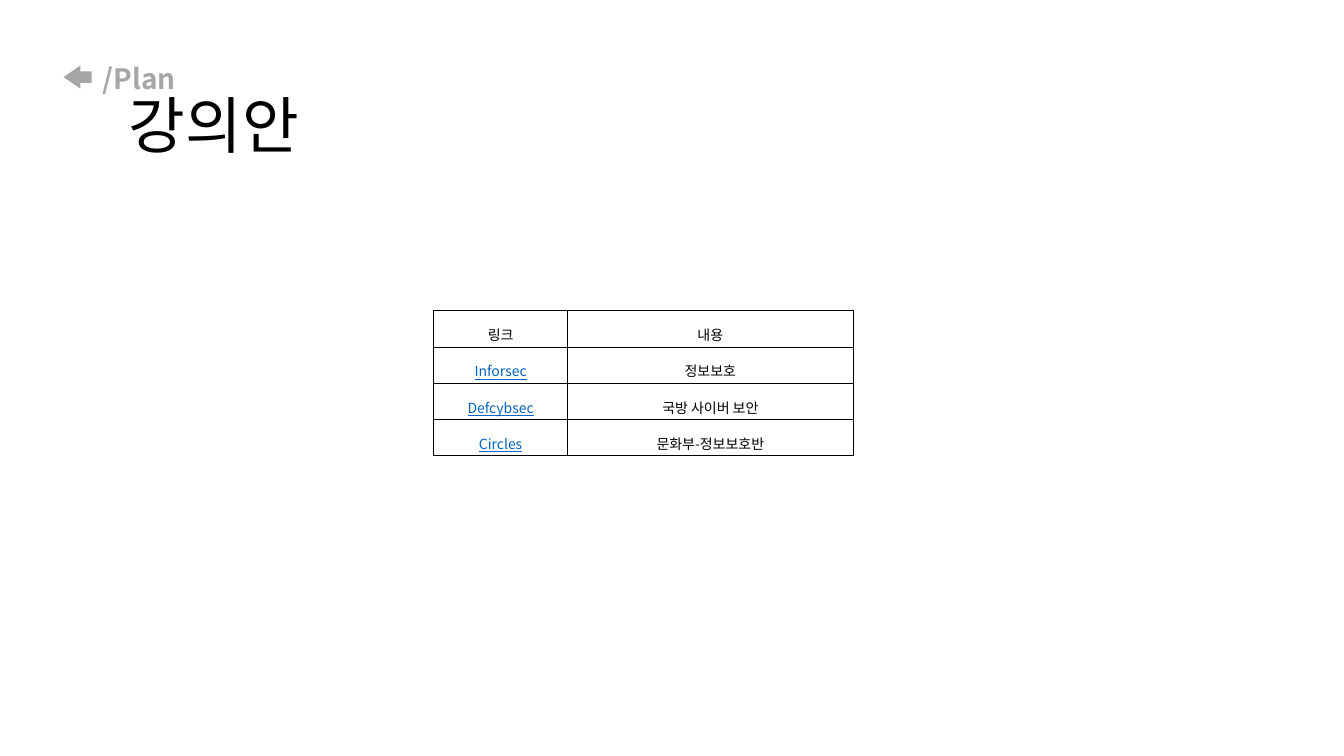
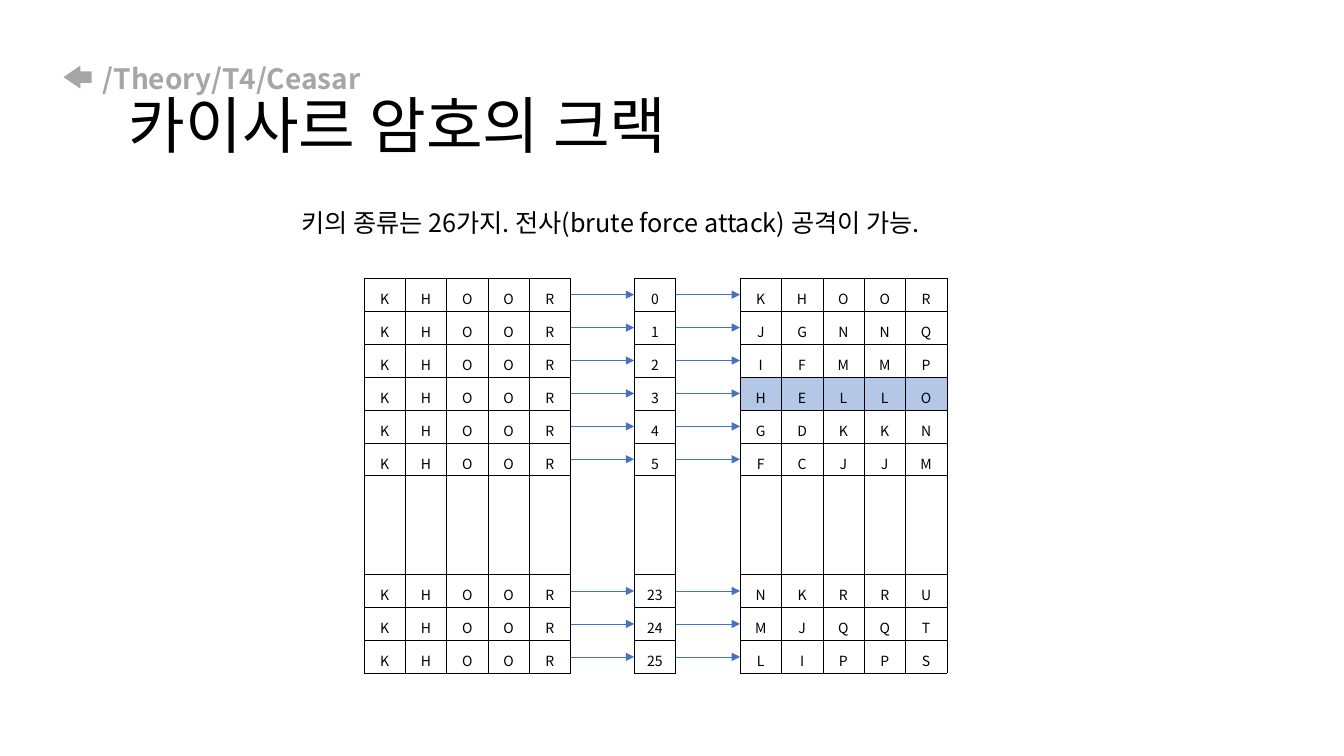
from dataclasses import dataclass

from lxml import etree
from pptx import Presentation
from pptx.dml.color import RGBColor
from pptx.enum.shapes import MSO_CONNECTOR, MSO_SHAPE
from pptx.enum.text import MSO_ANCHOR, PP_ALIGN
from pptx.oxml.ns import qn
from pptx.util import Inches, Pt

LEFT_ARROW = MSO_SHAPE.LEFT_ARROW
STRAIGHT = MSO_CONNECTOR.STRAIGHT
MIDDLE = MSO_ANCHOR.MIDDLE
CENTER = PP_ALIGN.CENTER


@dataclass(frozen=True)
class Theme:
    font: str = "Noto Sans CJK KR"
    ink: str = "000000"
    muted: str = "A6A6A6"
    link: str = "0563C1"
    arrow: str = "4472C4"
    highlight: str = "B4C7E7"
    title: int = 44
    crumb: int = 20
    body: int = 18
    cell: int = 10
    border: float = 0.28


T = Theme()


def add_run(p, text, size, color=T.ink, bold=False, underline=False):
    r = p.add_run()
    r.text = text
    r.font.size = Pt(size)
    r.font.bold = bold
    r.font.underline = underline
    r.font.color.rgb = RGBColor.from_string(color)
    r.font.name = T.font
    etree.SubElement(r.font._element, qn("a:ea")).set("typeface", T.font)


def add_grid(s, left, top, col_widths, row_heights, rows, line_spacing,
             links=(), marked_row=None):
    """Add a bordered table; None leaves a cell empty, links are underlined."""
    frame = s.shapes.add_table(len(rows), len(col_widths), Inches(left), Inches(top),
                               Inches(sum(col_widths)), Inches(sum(row_heights)))
    table = frame.table
    table.first_row = table.horz_banding = False
    for col, width in zip(table.columns, col_widths):
        col.width = Inches(width)
    for i, (values, height) in enumerate(zip(rows, row_heights)):
        table.rows[i].height = Inches(height)
        for j, value in enumerate(values):
            cell = table.cell(i, j)
            cell.margin_left = cell.margin_right = Inches(0.07)
            cell.margin_top = cell.margin_bottom = Inches(0.02)
            cell.vertical_anchor = MIDDLE
            for side in ("a:lnL", "a:lnR", "a:lnT", "a:lnB"):
                ln = etree.SubElement(cell._tc.tcPr, qn(side), w=str(Pt(T.border)))
                fill = etree.SubElement(ln, qn("a:solidFill"))
                etree.SubElement(fill, qn("a:srgbClr"), val=T.ink)
            if i == marked_row:
                cell.fill.solid()
                cell.fill.fore_color.rgb = RGBColor.from_string(T.highlight)
            else:
                cell.fill.background()
            if value is None:
                continue
            p = cell.text_frame.paragraphs[0]
            p.alignment = CENTER
            p.line_spacing = line_spacing
            is_link = value in links
            add_run(p, value, T.cell, T.link if is_link else T.ink, underline=is_link)


prs = Presentation()
prs.slide_width = Inches(13.33)
prs.slide_height = Inches(7.5)

# Shared heading: back arrow, breadcrumb and title
slides = []
for crumb, title in [("/Plan", "강의안"),
                     ("/Theory/T4/Ceasar", "카이사르 암호의 크랙")]:
    s = prs.slides.add_slide(prs.slide_layouts[6])
    slides.append(s)
    tf = s.shapes.add_textbox(Inches(0.92), Inches(0.4), Inches(11.5), Inches(1.45)).text_frame
    tf.word_wrap = True
    tf.vertical_anchor = MIDDLE
    p = tf.paragraphs[0]
    p.line_spacing = 0.9
    add_run(p, crumb, T.crumb, T.muted, bold=True)
    p = tf.add_paragraph()
    p.line_spacing = 0.9
    p._p.get_or_add_pPr().set("marL", str(Inches(0.26)))
    add_run(p, title, T.title)

    back = s.shapes.add_shape(LEFT_ARROW, Inches(0.63), Inches(0.65), Inches(0.28), Inches(0.23))
    back.adjustments[0] = 0.5
    back.adjustments[1] = 0.73
    back.shadow.inherit = False
    back.fill.solid()
    back.fill.fore_color.rgb = RGBColor.from_string(T.muted)
    back.line.fill.background()

plan, crack = slides

# Lecture plan
lectures = [("링크", "내용"), ("Inforsec", "정보보호"),
            ("Defcybsec", "국방 사이버 보안"), ("Circles", "문화부-정보보호반")]
add_grid(plan, 4.3, 3.08, [1.33, 2.83], [0.36] * len(lectures), lectures, 1.6,
         links=[name for name, _ in lectures[1:]])

# Brute force on the Caesar cipher
tf = crack.shapes.add_textbox(Inches(2.89), Inches(2.01), Inches(7.03), Inches(0.4)).text_frame
tf.word_wrap = True
add_run(tf.paragraphs[0], "키의 종류는 26가지. 전사(brute force attack) 공격이 가능.", T.body)

CIPHER = "KHOOR"
KEYS = [0, 1, 2, 3, 4, 5, None, 23, 24, 25]  # None is the gap of skipped keys
TOP, COL = 2.76, 0.41
ROW = 3.92 / 12  # nine key rows and a gap three rows high
CIPHER_X, KEY_X, PLAIN_X = 3.61, 6.29, 7.34

heights = [3 * ROW if key is None else ROW for key in KEYS]
cipher_rows, key_rows, plain_rows = [], [], []
for key in KEYS:
    skipped = key is None
    blank = [None] * len(CIPHER)
    cipher_rows.append(blank if skipped else list(CIPHER))
    key_rows.append([None if skipped else str(key)])
    plain_rows.append(blank if skipped else
                      [chr((ord(c) - ord("A") - key) % 26 + ord("A")) for c in CIPHER])

for left, rows, marked in [(CIPHER_X, cipher_rows, None),
                           (PLAIN_X, plain_rows, KEYS.index(3)),
                           (KEY_X, key_rows, None)]:
    add_grid(crack, left, TOP, [COL] * len(rows[0]), heights, rows, 1.4, marked_row=marked)

y = TOP
for key, height in zip(KEYS, heights):
    if key is not None:
        mid = Inches(y + height / 2)
        for x1, x2 in [(CIPHER_X + len(CIPHER) * COL, KEY_X), (KEY_X + COL, PLAIN_X)]:
            arrow = crack.shapes.add_connector(STRAIGHT, Inches(x1), mid, Inches(x2), mid)
            arrow.line.width = Pt(0.5)
            arrow.line.color.rgb = RGBColor.from_string(T.arrow)
            etree.SubElement(arrow.line._get_or_add_ln(), qn("a:tailEnd"), type="triangle")
            etree.SubElement(arrow._element.spPr, qn("a:effectLst"))
    y += height

prs.save("out.pptx")
